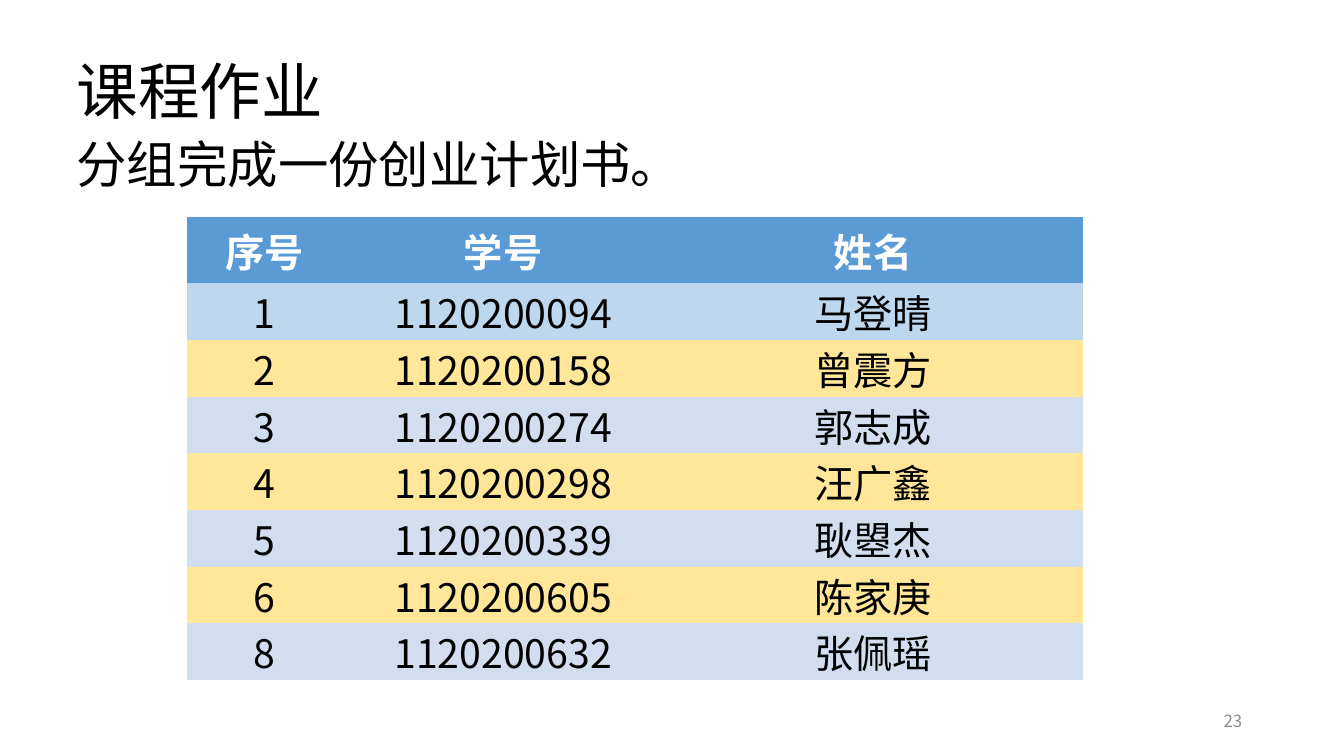
from pptx import Presentation
from pptx.dml.color import RGBColor
from pptx.enum.text import MSO_ANCHOR, PP_ALIGN
from pptx.oxml.ns import qn
from pptx.util import Inches, Pt
from lxml import etree

FONT = "Noto Sans CJK SC"
BLACK = RGBColor(0x00, 0x00, 0x00)
WHITE = RGBColor(0xFF, 0xFF, 0xFF)
GRAY = RGBColor(0x8C, 0x8C, 0x8C)
HEADER_BLUE = RGBColor(0x5B, 0x9B, 0xD5)
FIRST_BLUE = RGBColor(0xBD, 0xD7, 0xEE)
BAND_BLUE = RGBColor(0xD2, 0xDE, 0xEF)
BAND_YELLOW = RGBColor(0xFF, 0xE6, 0x99)
NO_STYLE = "{2D5ABB26-0587-4C30-8999-92F81FD0307C}"

HEADER = ("序号", "学号", "姓名")
STUDENTS = [
    ("1", "1120200094", "马登晴"),
    ("2", "1120200158", "曾震方"),
    ("3", "1120200274", "郭志成"),
    ("4", "1120200298", "汪广鑫"),
    ("5", "1120200339", "耿曌杰"),
    ("6", "1120200605", "陈家庚"),
    ("8", "1120200632", "张佩瑶"),
]
COL_SHARES = (1.55, 3.18, 4.16)
HEADER_HEIGHT = 0.66


def add_run(p, text, size, color, bold=False):
    r = p.add_run()
    r.text = text
    r.font.name = FONT
    r.font.size = Pt(size)
    r.font.bold = bold
    r.font.color.rgb = color
    # East Asian characters take their own font entry
    ea = etree.SubElement(r.font._element, qn("a:ea"))
    ea.set("typeface", FONT)


def add_text(s, box, text, size, color=BLACK, anchor=MSO_ANCHOR.MIDDLE,
             align=PP_ALIGN.LEFT, line_spacing=1.0, space_before=0):
    tf = s.shapes.add_textbox(*map(Inches, box)).text_frame
    tf.word_wrap = True
    tf.vertical_anchor = anchor
    p = tf.paragraphs[0]
    p.alignment = align
    p.line_spacing = line_spacing
    p.space_before = Pt(space_before)
    add_run(p, text, size, color)


def fill_cell(cell, text, fill, header):
    cell.fill.solid()
    cell.fill.fore_color.rgb = fill
    if not header:
        cell.vertical_anchor = MSO_ANCHOR.MIDDLE
        cell.margin_left = cell.margin_right = 0
        cell.margin_top = cell.margin_bottom = 0
    p = cell.text_frame.paragraphs[0]
    p.alignment = PP_ALIGN.CENTER
    add_run(p, text, 28, WHITE if header else BLACK, bold=header)


def row_fill(i):
    if i < 2:
        return (HEADER_BLUE, FIRST_BLUE)[i]
    return BAND_BLUE if i % 2 else BAND_YELLOW


def add_student_table(s, box):
    rows = [HEADER] + STUDENTS
    table = s.shapes.add_table(len(rows), len(HEADER), *map(Inches, box)).table
    table._tbl.tblPr.find(qn("a:tableStyleId")).text = NO_STYLE
    for col, share in zip(table.columns, COL_SHARES):
        col.width = Inches(box[2] * share / sum(COL_SHARES))
    body_height = (box[3] - HEADER_HEIGHT) / len(STUDENTS)
    for i, values in enumerate(rows):
        table.rows[i].height = Inches(body_height if i else HEADER_HEIGHT)
        for j, text in enumerate(values):
            fill_cell(table.cell(i, j), text, row_fill(i), header=i == 0)


def add_assignment_slide(prs):
    s = prs.slides.add_slide(prs.slide_layouts[6])
    # Title and task
    add_text(s, (0.66, 0.21, 11.5, 1.45), "课程作业", 44, line_spacing=0.9)
    add_text(s, (0.66, 1.34, 11.5, 4.76), "分组完成一份创业计划书。", 36,
             anchor=MSO_ANCHOR.TOP, line_spacing=0.9, space_before=10)
    # Group members
    add_student_table(s, (1.85, 2.15, 8.89, 4.6))
    # Page number
    add_text(s, (9.42, 6.95, 3, 0.4), "23", 12, GRAY, align=PP_ALIGN.RIGHT)


def main():
    prs = Presentation()
    prs.slide_width = Inches(13.33)
    prs.slide_height = Inches(7.5)
    add_assignment_slide(prs)
    prs.save("out.pptx")


if __name__ == "__main__":
    main()
